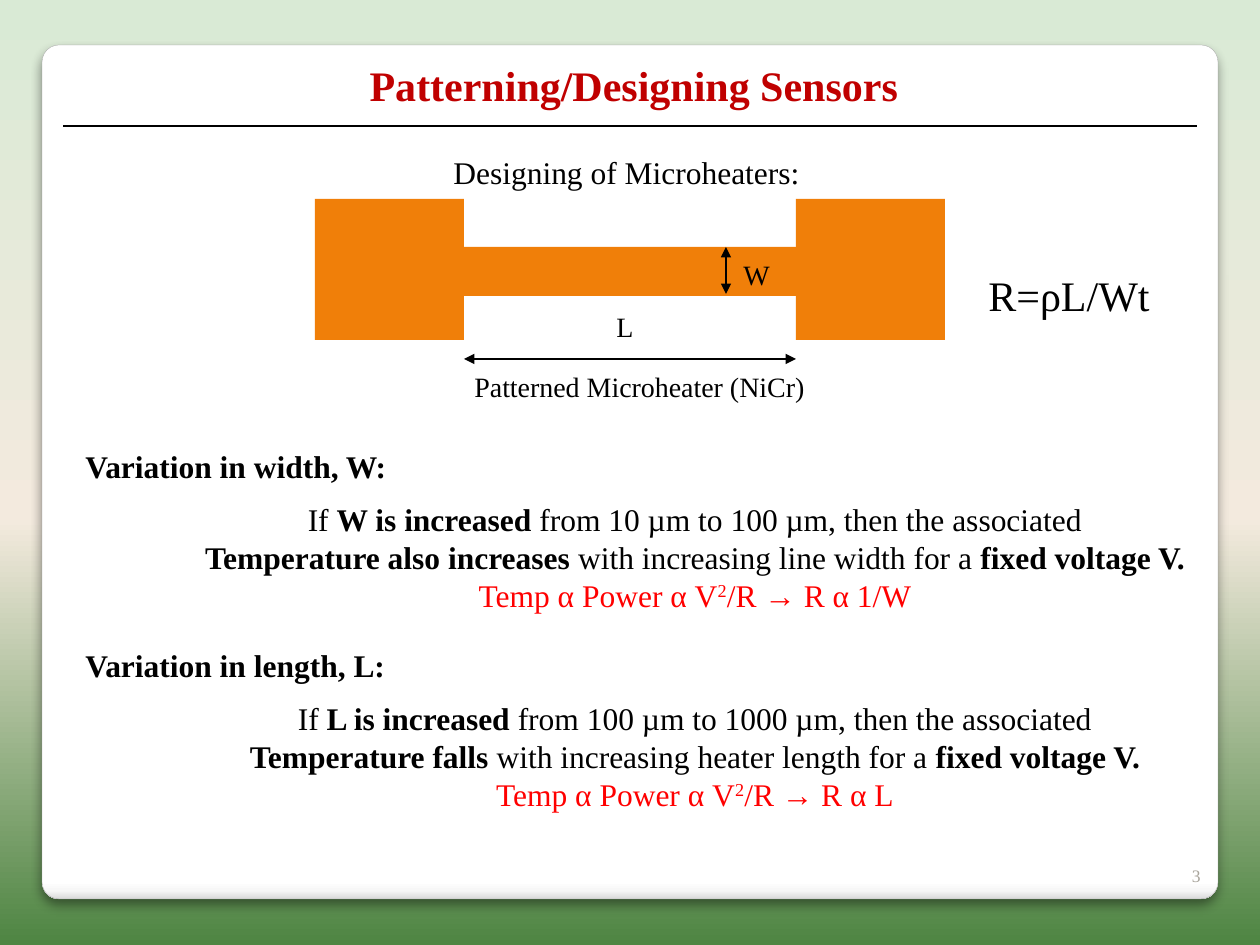
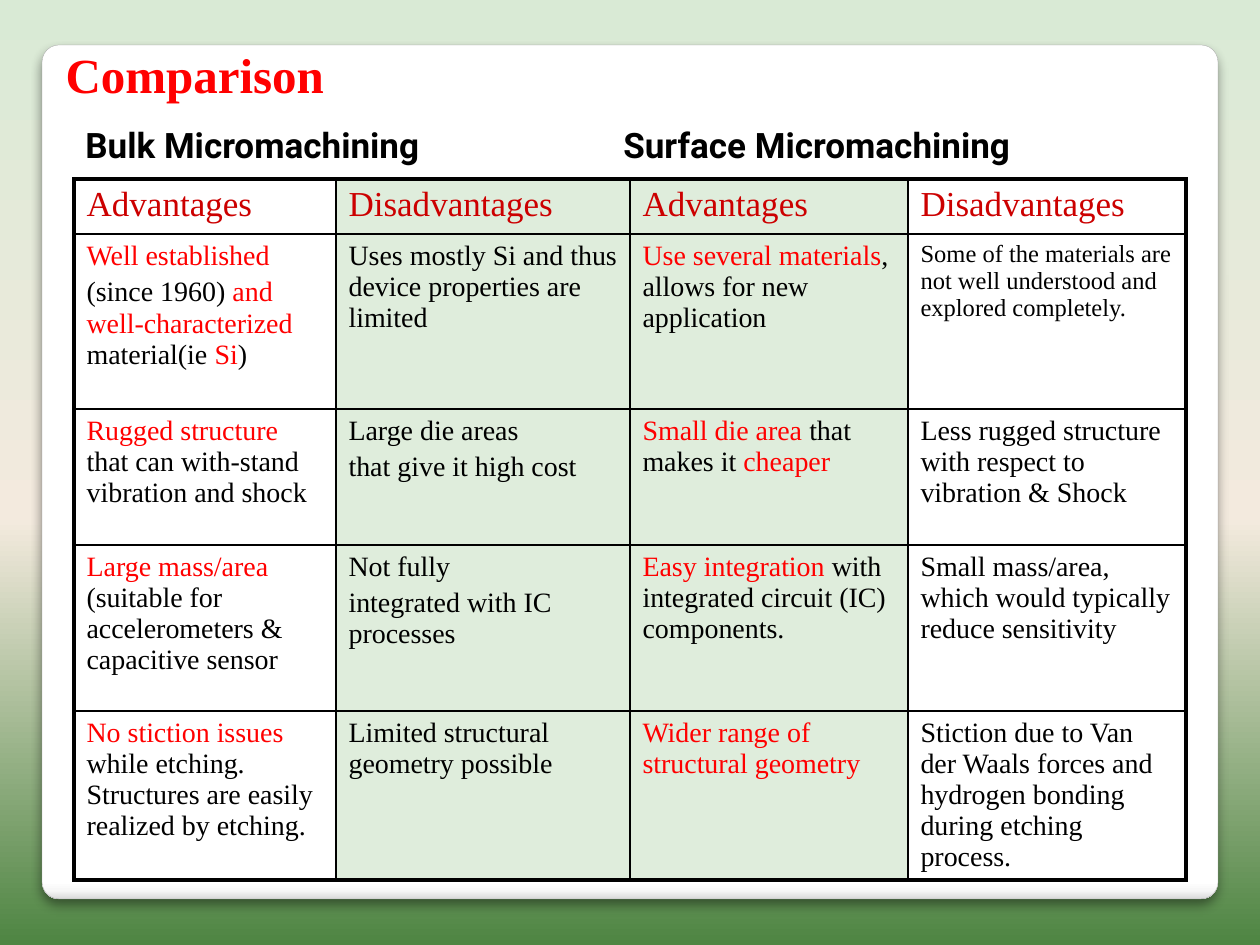
from lxml.etree import SubElement
from pptx import Presentation
from pptx.dml.color import RGBColor
from pptx.enum.shapes import MSO_CONNECTOR, MSO_SHAPE
from pptx.enum.text import MSO_ANCHOR, MSO_AUTO_SIZE, PP_ALIGN
from pptx.oxml.ns import qn
from pptx.util import Pt

EMU_PER_PX = 914400 / 126
SERIF, SANS = "Times New Roman", "Roboto"
BLACK, WHITE, RED = "000000", "FFFFFF", "FF0000"
TITLE_RED, HEADER_RED = "C00000", "CC0000"
ORANGE, PALE_GREEN, MUTED, EDGE = "F07F09", "D9EAD5", "A8A49B", "A4A4A4"
TITLE_ONLY = 5

COLUMN_WIDTHS = [262, 294, 278, 278]
ROW_HEIGHTS = [55, 175, 136, 166, 169]
SHADED_COLUMNS = (1, 2)
HEADERS = ["Advantages", "Disadvantages"] * 2
COMPARISON = [
    [
        [[("Well established", "red")],
         [("(since 1960)", ""), (" and well-characterized", "red"),
          (" material(ie ", ""), ("Si", "red"), (")", "")]],
        [[("Uses mostly Si and thus device properties are limited", "")]],
        [[("Use several materials", "red"), (", allows for new application", "")]],
        [[("Some of the materials are not well understood and explored completely.", "")]],
    ],
    [
        [[("Rugged structure ", "red"), ("that can with-stand vibration and shock", "")]],
        [[("Large die areas", "")], [("that give it high cost", "")]],
        [[("Small die area ", "red"), ("that makes it ", ""), ("cheaper", "red")]],
        [[("Less rugged structure with respect to vibration & Shock", "")]],
    ],
    [
        [[("Large mass/area ", "red"), ("(suitable for accelerometers & capacitive sensor", "")]],
        [[("Not fully", "")], [("integrated with IC processes", "")]],
        [[("Easy integration ", "red"), ("with integrated circuit (IC) components.", "")]],
        [[("Small mass/area, which would typically reduce sensitivity", "")]],
    ],
    [
        [[("No stiction issues ", "red"),
          ("while etching. Structures are easily realized by etching.", "")]],
        [[("Limited structural geometry possible", "")]],
        [[("Wider range of structural geometry", "red")]],
        [[("Stiction due to Van der Waals forces and hydrogen bonding during etching process.", "")]],
    ],
]


def px(*lengths):
    return [round(length * EMU_PER_PX) for length in lengths]


def rgb(value):
    return RGBColor.from_string(value)


def set_gradient(fill, element, stops, angle):
    fill.gradient()
    fill.gradient_angle = angle
    stop_list = next(element.iter(qn("a:gsLst")))
    for stop in list(stop_list):
        stop_list.remove(stop)
    for percent, colour in stops:
        stop = SubElement(stop_list, qn("a:gs"), pos=str(percent * 1000))
        SubElement(stop, qn("a:srgbClr"), val=colour)


def write(frame, paragraphs, size, colour=BLACK, font=SERIF, bold=False,
          align=PP_ALIGN.LEFT, gap=0):
    for index, runs in enumerate(paragraphs):
        paragraph = frame.add_paragraph() if index else frame.paragraphs[0]
        paragraph.alignment = align
        if index:
            paragraph.space_before = Pt(gap)
        for text, style in runs:
            run = paragraph.add_run()
            run.text = text
            run.font.name = font
            run.font.size = Pt(size)
            run.font.bold = bold or style == "strong"
            run.font.color.rgb = rgb(RED if style in ("red", "super") else colour)
            if style == "super":
                run.font._element.set("baseline", "30000")


def add_text(shapes, box, paragraphs, size, anchor=MSO_ANCHOR.TOP, **style):
    frame = shapes.add_textbox(*px(*box)).text_frame
    frame.word_wrap = True
    frame.vertical_anchor = anchor
    write(frame, paragraphs, size, **style)


def add_label(shapes, box, text, size, **style):
    add_text(shapes, box, [[(text, "")]], size, **style)


def add_line(shapes, start, end, arrows=False):
    line = shapes.add_connector(MSO_CONNECTOR.STRAIGHT, *px(*start, *end))
    line.line.color.rgb = rgb(BLACK)
    line.line.width = Pt(0.75)
    properties = line._element.spPr
    if arrows:
        for tip in ("a:headEnd", "a:tailEnd"):
            SubElement(properties.find(qn("a:ln")), qn(tip), type="triangle")
    SubElement(properties, qn("a:effectLst"))


def add_panel(slide):
    panel = slide.shapes.add_shape(MSO_SHAPE.ROUNDED_RECTANGLE, *px(42, 45, 1176, 854))
    panel.adjustments[0] = 0.02
    set_gradient(panel.fill, panel._element,
                 [(0, WHITE), (98, WHITE), (99, "F7F7F7"), (100, "DADADA")], 270)
    panel.line.color.rgb = rgb(EDGE)
    panel.line.width = Pt(0.16)
    effects = SubElement(panel._element.spPr, qn("a:effectLst"))
    shadow = SubElement(effects, qn("a:outerShdw"), blurRad=str(Pt(6)), dist=str(Pt(4)),
                        dir="5400000", algn="t", rotWithShape="0")
    colour = SubElement(shadow, qn("a:srgbClr"), val=BLACK)
    SubElement(colour, qn("a:alpha"), val="44000")


def add_slide(prs, title, box, size, colour, anchor):
    slide = prs.slides.add_slide(prs.slide_layouts[TITLE_ONLY])
    heading = slide.shapes.title
    add_panel(slide)
    slide.shapes._spTree.append(heading._element)
    heading.left, heading.top, heading.width, heading.height = px(*box)
    frame = heading.text_frame
    frame.auto_size = MSO_AUTO_SIZE.NONE
    frame.word_wrap = True
    frame.vertical_anchor = anchor
    write(frame, [[(title, "")]], size, colour=colour, bold=True)
    return slide


def add_microheater(slide, left, top, width, height):
    pad, strip_top, strip_height = 149, 48, 49
    strip_left, strip_right = left + pad, left + width - pad
    strip_y = top + strip_top
    shapes = slide.shapes.add_group_shape().shapes
    for box in (
        (strip_left, strip_y, strip_right - strip_left, strip_height),
        (strip_right, top, pad, height),
        (left, top, pad, height),
    ):
        part = shapes.add_shape(MSO_SHAPE.RECTANGLE, *px(*box))
        part.shadow.inherit = False
        part.fill.solid()
        part.fill.fore_color.rgb = rgb(ORANGE)
        part.line.fill.background()
    length_y, width_x = top + height + 19, strip_right - 70
    add_line(shapes, (strip_left, length_y), (strip_right, length_y), arrows=True)
    add_line(shapes, (width_x, strip_y), (width_x, strip_y + strip_height - 2), arrows=True)
    add_label(shapes, (left + 289, top + 104, 54, 46), "L", 16)
    add_label(shapes, (width_x + 5, strip_y + 4, 67, 46), "W", 16)
    add_label(slide.shapes, (strip_left - 2, length_y + 4, 380, 46),
              "Patterned Microheater (NiCr)", 16)


def add_variation(slide, left, top, dimension, name, span, effect, detail, proportion):
    add_label(slide.shapes, (left, top, 360, 50), f"Variation in {name}, {dimension}:", 18,
              bold=True)
    add_text(slide.shapes, (left + 113, top + 53, 1018, 127), [
        [("If ", ""), (f"{dimension} is increased ", "strong"),
         (f"from {span}, then the associated", "")],
        [(f"Temperature {effect} ", "strong"), (f"with increasing {detail} for a ", ""),
         ("fixed voltage V.", "strong")],
        [("Temp α Power α V", "red"), ("2", "super"), (f"/R → R α {proportion}", "red")],
    ], 18, align=PP_ALIGN.CENTER)


def build_sensors(prs):
    slide = add_slide(prs, "Patterning/Designing Sensors", (357, 53, 580, 63), 24,
                      TITLE_RED, MSO_ANCHOR.TOP)
    add_label(slide.shapes, (1150, 842, 63, 50), "3", 10, colour=MUTED,
              align=PP_ALIGN.RIGHT, anchor=MSO_ANCHOR.BOTTOM)
    add_line(slide.shapes, (63, 126), (1197, 126))
    add_label(slide.shapes, (441, 147, 400, 50), "Designing of Microheaters:", 18)
    add_microheater(slide, 315, 199, 630, 141)
    add_label(slide.shapes, (976, 263, 200, 63), "R=ρL/Wt", 24)
    add_variation(slide, 73, 441, "W", "width", "10 µm to 100 µm", "also increases",
                  "line width", "1/W")
    add_variation(slide, 73, 640, "L", "length", "100 µm to 1000 µm", "falls",
                  "heater length", "L")


def set_borders(cell, row, column):
    outer = {
        "a:lnL": column == 0,
        "a:lnR": column == len(COLUMN_WIDTHS) - 1,
        "a:lnT": row == 0,
        "a:lnB": row == len(ROW_HEIGHTS) - 1,
    }
    properties = cell._tc.get_or_add_tcPr()
    for side, is_outer in outer.items():
        border = SubElement(properties, qn(side), w=str(Pt(2.25 if is_outer else 1)))
        fill = SubElement(border, qn("a:solidFill"))
        SubElement(fill, qn("a:srgbClr"), val=BLACK)


def set_cell_fill(cell, shaded):
    cell.fill.solid()
    cell.fill.fore_color.rgb = rgb(PALE_GREEN if shaded else WHITE)
    if shaded:
        colour = cell._tc.tcPr.find(qn("a:solidFill")).find(qn("a:srgbClr"))
        SubElement(colour, qn("a:alpha"), val="83000")


def add_comparison_table(slide, left, top):
    table = slide.shapes.add_table(
        len(ROW_HEIGHTS), len(COLUMN_WIDTHS),
        *px(left, top, sum(COLUMN_WIDTHS), sum(ROW_HEIGHTS))).table
    table.first_row = table.horz_banding = False
    for column, width in zip(table.columns, px(*COLUMN_WIDTHS)):
        column.width = width
    for row, height in zip(table.rows, px(*ROW_HEIGHTS)):
        row.height = height
    header = [[[(text, "")]] for text in HEADERS]
    for row, contents in enumerate([header] + COMPARISON):
        for column, paragraphs in enumerate(contents):
            cell = table.cell(row, column)
            set_borders(cell, row, column)
            set_cell_fill(cell, column in SHADED_COLUMNS)
            if row == 0:
                write(cell.text_frame, paragraphs, 20, colour=HEADER_RED)
            else:
                size = 14 if (row, column) == (1, 3) else 16
                write(cell.text_frame, paragraphs, size, gap=3.2)


def build_comparison(prs):
    slide = add_slide(prs, "Comparison", (53, 32, 446, 78), 28, RED, MSO_ANCHOR.BOTTOM)
    add_comparison_table(slide, 74, 179)
    for left, method in ((73, "Bulk Micromachining"), (611, "Surface Micromachining")):
        add_label(slide.shapes, (left, 117, 480, 54), method, 20, font=SANS, bold=True)


def main():
    prs = Presentation()
    prs.slide_width, prs.slide_height = px(1260, 945)
    master = prs.slide_master
    set_gradient(master.background.fill, master.element,
                 [(0, "4E8542"), (45, "F3EADE"), (100, PALE_GREEN)], 90)
    build_sensors(prs)
    build_comparison(prs)
    prs.save("out.pptx")


if __name__ == "__main__":
    main()
